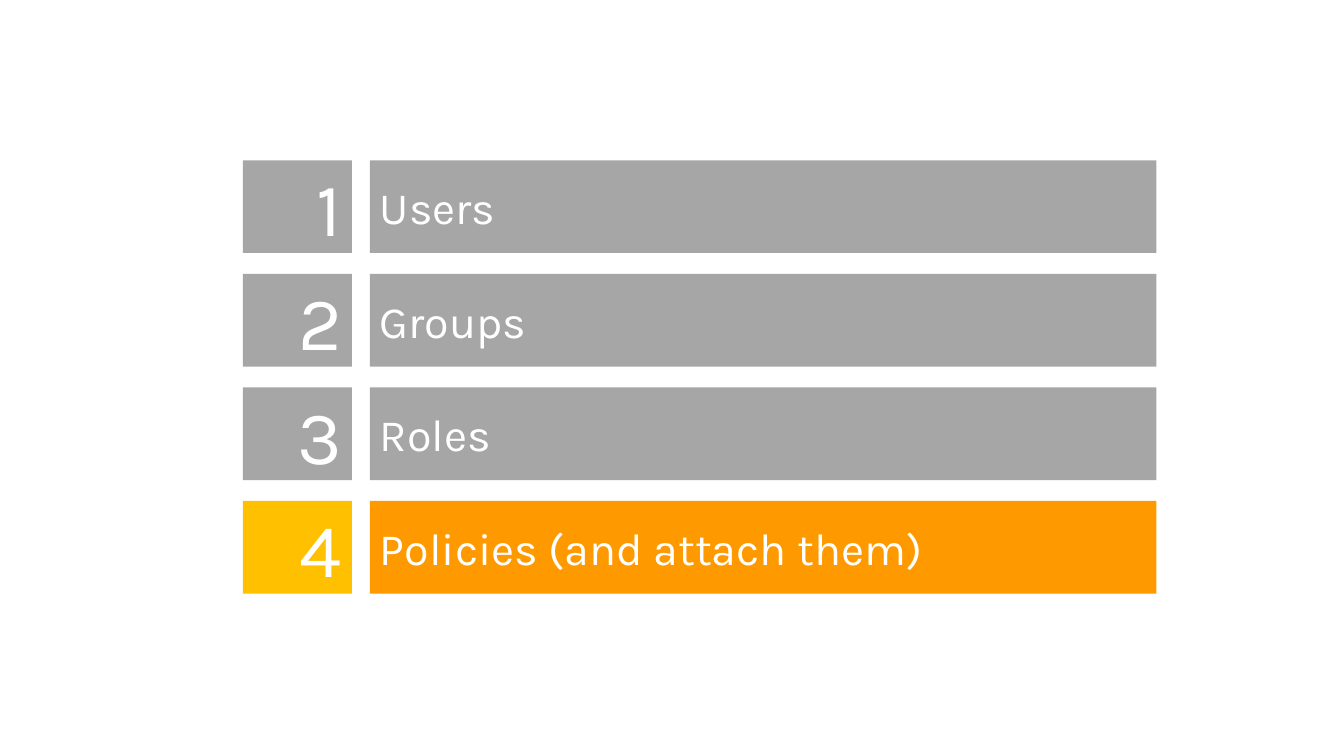
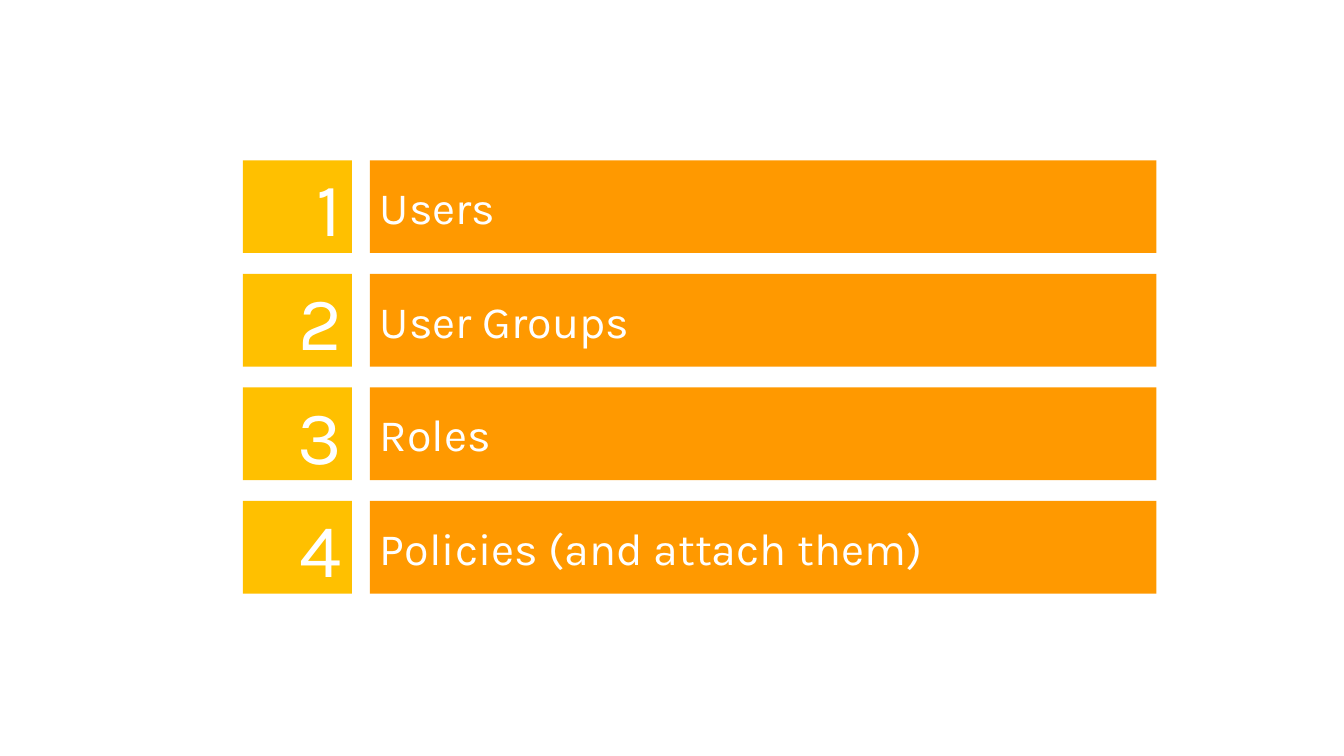
import pptx
import pptx.dml.color
import pptx.enum.shapes
import pptx.enum.text
import pptx.util

RGBColor = pptx.dml.color.RGBColor
Align = pptx.enum.text.PP_ALIGN

WHITE = RGBColor(0xFF, 0xFF, 0xFF)
GREY = RGBColor(0xA6, 0xA6, 0xA6)
YELLOW = RGBColor(0xFF, 0xC0, 0x00)
ORANGE = RGBColor(0xFF, 0x99, 0x00)

# Grid of the agenda: two columns (left, width) and four evenly spaced rows
NUMBER_COLUMN = (2.41, 1.08)
TOPIC_COLUMN = (3.67, 7.8)
FIRST_TOP, LAST_TOP, ROW_HEIGHT = 1.59, 4.97, 0.92
ROW_COUNT = 4
ROW_PITCH = (LAST_TOP - FIRST_TOP) / (ROW_COUNT - 1)

# Text formats
NUMBER = {"size": pptx.util.Pt(54), "alignment": Align.RIGHT}
TOPIC = {"size": pptx.util.Pt(32), "alignment": Align.LEFT}


class AgendaDeck:
    """Holds the shared style and the current slide."""

    def __init__(self):
        self.deck = pptx.Presentation()
        self.deck.slide_width = pptx.util.Inches(13.33)
        self.deck.slide_height = pptx.util.Inches(7.5)
        self.page = None

    def new_page(self):
        blank = self.deck.slide_layouts.get_by_name("Blank")
        self.page = self.deck.slides.add_slide(blank)

    def cell(self, column, row, text, fill, style):
        left, width = column
        top = FIRST_TOP + row * ROW_PITCH
        box = self.page.shapes.add_shape(
            pptx.enum.shapes.MSO_SHAPE.RECTANGLE,
            *(pptx.util.Inches(length) for length in (left, top, width, ROW_HEIGHT)))
        box.shadow.inherit = False
        box.fill.solid()
        box.fill.fore_color.rgb = fill
        box.line.fill.background()
        box.text_frame.word_wrap = True
        box.text_frame.vertical_anchor = pptx.enum.text.MSO_ANCHOR.MIDDLE
        para = box.text_frame.paragraphs[0]
        para.alignment = style["alignment"]
        span = para.add_run()
        span.text = text
        for name, value in {"name": "Karla", "size": style["size"]}.items():
            setattr(span.font, name, value)
        span.font.color.rgb = WHITE

    def agenda(self, topics, active_rows):
        for row, topic in enumerate(topics):
            active = row in active_rows
            self.cell(NUMBER_COLUMN, row, str(row + 1), YELLOW if active else GREY, NUMBER)
            self.cell(TOPIC_COLUMN, row, topic, ORANGE if active else GREY, TOPIC)


def main():
    agenda_deck = AgendaDeck()

    # Last step highlighted
    agenda_deck.new_page()
    agenda_deck.agenda(["Users", "Groups", "Roles", "Policies (and attach them)"], [3])

    # All steps highlighted
    agenda_deck.new_page()
    agenda_deck.agenda(["Users", "User Groups", "Roles", "Policies (and attach them)"],
                       range(ROW_COUNT))

    agenda_deck.deck.save("out.pptx")


if __name__ == "__main__":
    main()
